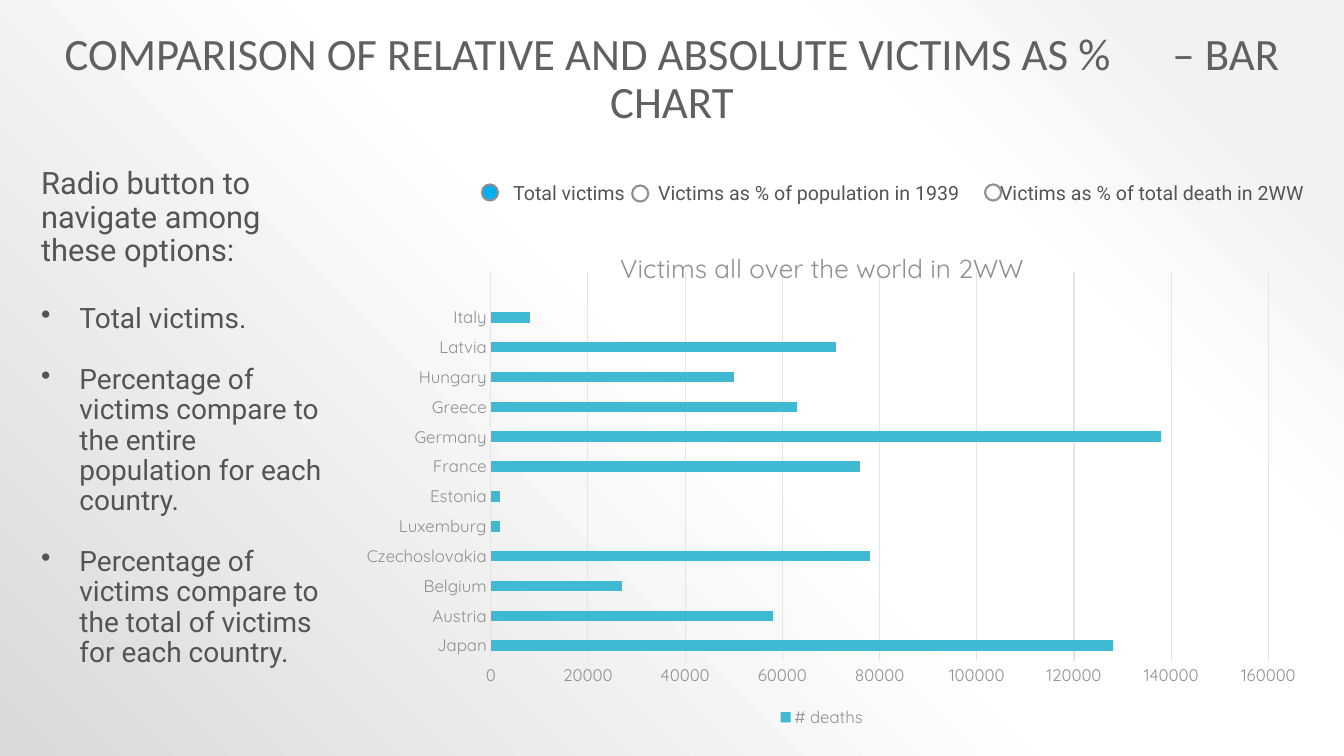
from lxml import etree
from pptx import Presentation
from pptx import util as u
from pptx.chart.data import CategoryChartData
from pptx.dml.color import RGBColor
from pptx.enum import chart as ch, shapes, text
from pptx.oxml import parse_xml
from pptx.oxml.ns import nsdecls, qn

HEAD = RGBColor(0x60, 0x60, 0x60)
BODY = RGBColor(0x54, 0x54, 0x54)
AXIS = RGBColor(0x90, 0x90, 0x90)
RING = RGBColor(0x8F, 0x8F, 0x8F)
GRID = RGBColor(0xE5, 0xE5, 0xE5)
TEAL = RGBColor(0x40, 0xBA, 0xD2)
BLUE = RGBColor(0x00, 0xB0, 0xF0)
WHITE = RGBColor(0xFF, 0xFF, 0xFF)

GRADE = [(10, "F2F2F2"), (28, "FFFFFF"), (48, "FFFFFF"), (100, "D9D9D9")]

DEATHS = {
    "Japan": 128000, "Austria": 58000, "Belgium": 27000,
    "Czechoslovakia": 78000, "Luxemburg": 2000, "Estonia": 2000,
    "France": 76000, "Germany": 138000, "Greece": 63000,
    "Hungary": 50000, "Latvia": 71000, "Italy": 8000,
    "": None,  # empty slot above the last bar
}


def style(font, size, color, face):
    font.size, font.name = u.Pt(size), face
    font.color.rgb = color


class Page:
    """Holds the slide and its style."""

    face = "Roboto"
    plot_face = "Quicksand"

    def __init__(self, slide):
        self.slide = slide

    def back(self, stops):
        fill = self.slide.background.fill
        fill.solid()
        marks = "".join(f'<a:gs pos="{pos * 1000}"><a:srgbClr val="{tone}"/></a:gs>'
                        for pos, tone in stops)
        grad = parse_xml(
            f'<a:gradFill {nsdecls("a")} rotWithShape="1"><a:gsLst>{marks}</a:gsLst>'
            '<a:path path="circle"><a:fillToRect l="100000" b="100000"/></a:path>'
            '</a:gradFill>')
        solid = self.slide.element.find(".//" + qn("p:bgPr")).find(qn("a:solidFill"))
        solid.getparent().replace(solid, grad)

    def box(self, left, top, width, height, wrap=True):
        frame = self.slide.shapes.add_textbox(
            u.Inches(left), u.Inches(top), u.Inches(width), u.Inches(height)).text_frame
        frame.word_wrap = wrap
        return frame

    def para(self, par, words, size, color=BODY, face=None, before=0):
        par.text = words
        par.line_spacing = 0.9
        par.space_before = u.Pt(before)
        style(par.font, size, color, face or self.face)
        return par

    def bullet(self, par):
        props = par._p.get_or_add_pPr()
        indent = u.Inches(0.38)
        props.set("marL", str(indent))
        props.set("indent", str(-indent))
        mark = parse_xml(f'<a:buChar {nsdecls("a")} char="•"/>')
        props.insert_element_before(mark, "a:tabLst", "a:defRPr", "a:extLst")

    def radio(self, left, top, fill, label, start):
        frame = self.box(start, 1.77, 3.4, 0.31, wrap=False)
        self.para(frame.paragraphs[0], label, 14)
        dot = self.slide.shapes.add_shape(
            shapes.MSO_SHAPE.OVAL, u.Inches(left), u.Inches(top),
            u.Inches(0.16), u.Inches(0.16))
        dot.shadow.inherit = False
        dot.fill.solid()
        dot.fill.fore_color.rgb = fill
        dot.line.color.rgb = RING
        dot.line.width = u.Pt(1.5)

    def place(self, node, **spots):
        """Give a chart part a manual layout."""
        old = node.find(qn("c:layout"))
        if old is not None:
            node.remove(old)
        layout = etree.Element(qn("c:layout"))
        manual = etree.SubElement(layout, qn("c:manualLayout"))
        for key, val in spots.items():
            etree.SubElement(manual, qn("c:" + key)).set("val", str(val))
        tx = node.find(qn("c:tx"))
        node.insert(0 if tx is None else 1, layout)

    def axis(self, axis):
        axis.major_tick_mark = axis.minor_tick_mark = ch.XL_TICK_MARK.NONE
        style(axis.tick_labels.font, 12, AXIS, self.plot_face)

    def bars(self, left, top, width, height, title, name, table):
        data = CategoryChartData()
        data.categories = list(table)
        data.add_series(name, list(table.values()))
        chart = self.slide.shapes.add_chart(
            ch.XL_CHART_TYPE.BAR_CLUSTERED, u.Inches(left), u.Inches(top),
            u.Inches(width), u.Inches(height), data).chart
        style(chart.font, 10, BODY, self.plot_face)

        # Title
        chart.has_title = True
        par = chart.chart_title.text_frame.paragraphs[0]
        par.text = title
        style(par.font, 18.6, AXIS, self.plot_face)
        par.font.bold = False
        self.place(chart.chart_title._element, xMode="edge", yMode="edge", x=0.29, y=0.04)

        # Bars
        plot = chart.plots[0]
        plot.gap_width = 182
        plot.vary_by_categories = False
        fill = plot.series[0].format.fill
        fill.solid()
        fill.fore_color.rgb = TEAL
        area = chart._chartSpace.find(".//" + qn("c:plotArea"))
        self.place(area, layoutTarget="inner", xMode="edge", yMode="edge",
                   x=0.163, y=0.096, w=0.792, h=0.764)

        # Axes and legend
        cats, vals = chart.category_axis, chart.value_axis
        self.axis(cats)
        self.axis(vals)
        vals.minimum_scale, vals.maximum_scale, vals.major_unit = 0, 160000, 20000
        vals.format.line.fill.background()
        vals.has_major_gridlines = True
        for line in (cats.format.line, vals.major_gridlines.format.line):
            line.color.rgb = GRID
            line.width = u.Pt(0.75)
        chart.has_legend = True
        chart.legend.position = ch.XL_LEGEND_POSITION.BOTTOM
        chart.legend.include_in_layout = False
        style(chart.legend.font, 12, AXIS, self.plot_face)


def main():
    deck = Presentation()
    deck.slide_width, deck.slide_height = u.Inches(13.33), u.Inches(7.5)
    page = Page(deck.slides.add_slide(deck.slide_layouts[6]))
    page.back(GRADE)

    # Heading, with one widened space before the dash
    frame = page.box(0.13, -0.1, 13.07, 1.42)
    frame.vertical_anchor = text.MSO_ANCHOR.BOTTOM
    head = page.para(frame.paragraphs[0],
                     "COMPARISON OF RELATIVE AND ABSOLUTE VICTIMS AS %", 32, HEAD, "Calibri")
    head.alignment = text.PP_ALIGN.CENTER
    head.space_after = u.Pt(6)
    gap = head.add_run()
    gap.text = " "
    gap.font._element.set("spc", "3600")
    head.add_run().text = "– BAR CHART"

    # Options list
    frame = page.box(0.31, 1.62, 3.06, 5.1)
    page.para(frame.paragraphs[0], "Radio button to navigate among these options:", 22)
    for words, before in (
            ("Total victims.", 26),
            ("Percentage of victims compare to the entire population for each country.", 22),
            ("Percentage of victims compare to the total of victims for each country.", 22)):
        page.bullet(page.para(frame.add_paragraph(), words, 20, before=before))

    # Chart
    page.bars(3.28, 2.22, 9.74, 5.04, "Victims all over the world in 2WW", "# deaths", DEATHS)

    # Radio buttons
    page.radio(4.78, 1.83, BLUE, "Total victims", 4.99)
    page.radio(6.27, 1.84, WHITE, "Victims as % of population in 1939", 6.43)
    page.radio(9.77, 1.83, WHITE, "Victims as % of total death in 2WW", 9.82)

    deck.save("out.pptx")


if __name__ == "__main__":
    main()
